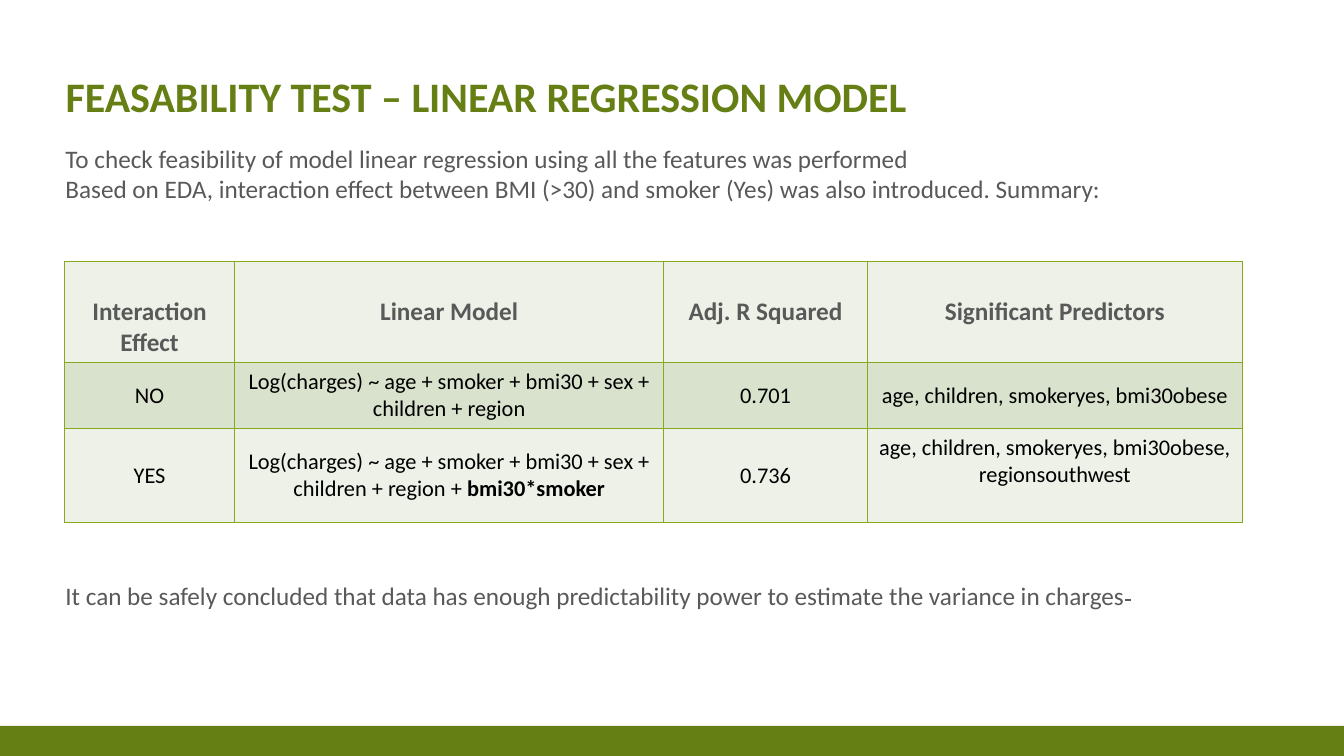
"""Build the linear regression feasibility slide."""
from dataclasses import dataclass

from lxml.etree import SubElement
from pptx import Presentation
from pptx.dml.color import RGBColor
from pptx.enum.shapes import MSO_SHAPE
from pptx.enum.text import MSO_ANCHOR, MSO_AUTO_SIZE, PP_ALIGN
from pptx.oxml.ns import qn
from pptx.util import Cm, Pt

GREEN = RGBColor(0x65, 0x7F, 0x14)
LIME = RGBColor(0x87, 0xA9, 0x1B)
GREY = RGBColor(0x59, 0x59, 0x59)
BLACK = RGBColor(0x00, 0x00, 0x00)
PALE = RGBColor(0xED, 0xF1, 0xE8)
SAGE = RGBColor(0xD9, 0xE2, 0xCD)

HEAD = {"size": Pt(18), "bold": True}
BODY = {"size": Pt(16), "bold": False}
NOTE = {"size": Pt(18), "bold": False}
WIDTHS = (4.28, 10.82, 5.13, 9.45)


@dataclass(frozen=True)
class Box:
    """Place of a shape in centimetres."""

    left: float
    top: float
    width: float
    height: float

    def spots(self) -> tuple:
        """Return the four lengths."""
        return Cm(self.left), Cm(self.top), Cm(self.width), Cm(self.height)


@dataclass(frozen=True)
class Row:
    """One table row with its look."""

    height: float
    fill: RGBColor
    color: RGBColor
    form: dict
    texts: tuple


@dataclass(frozen=True)
class Note:
    """A text box with its lines."""

    box: Box
    lines: tuple
    struck: bool = False


ROWS = (
    Row(2.55, PALE, GREY, HEAD,
        ("Interaction Effect", "Linear Model", "Adj. R Squared", "Significant Predictors")),
    Row(1.67, SAGE, BLACK, BODY,
        ("NO", "Log(charges) ~ age + smoker + bmi30 + sex + children + region",
         "0.701", "age, children, smokeryes, bmi30obese")),
    Row(2.36, PALE, BLACK, BODY,
        ("YES", "Log(charges) ~ age + smoker + bmi30 + sex + children + region + ",
         "0.736", "age, children, smokeryes, bmi30obese, regionsouthwest")),
)
NOTES = (
    Note(Box(1.4, 3.48, 30.53, 1.78),
         ("To check feasibility of model linear regression using all the features was performed",
          "Based on EDA, interaction effect between BMI (>30) and smoker (Yes) "
          "was also introduced. Summary:")),
    Note(Box(1.4, 14.5, 30.71, 1.02),
         ("It can be safely concluded that data has enough predictability power "
          "to estimate the variance in charges",), True),
)


def write(para, text: str, color: RGBColor, form: dict):
    """Add a formatted run to a paragraph."""
    run = para.add_run()
    run.text = text
    for name, value in {"name": "Calibri", **form}.items():
        setattr(run.font, name, value)
    run.font.color.rgb = color
    return run


def edge(cell) -> None:
    """Draw the four borders of a cell."""
    props = cell._tc.get_or_add_tcPr()
    for spot, side in enumerate(("lnL", "lnR", "lnT", "lnB")):
        line = props.makeelement(qn(f"a:{side}"), {"w": str(Pt(1))})
        props.insert(spot, line)
        fill = SubElement(line, qn("a:solidFill"))
        SubElement(fill, qn("a:srgbClr"), val=str(LIME))


def add_title(slide) -> None:
    """Place and format the title."""
    title = slide.shapes.title
    title.left, title.top, title.width, title.height = Box(1.4, 0, 25.4, 3.18).spots()
    frame = title.text_frame
    looks = {"vertical_anchor": MSO_ANCHOR.BOTTOM, "word_wrap": True,
             "auto_size": MSO_AUTO_SIZE.NONE}
    for name, value in looks.items():
        setattr(frame, name, value)
    para = frame.paragraphs[0]
    para.alignment = PP_ALIGN.LEFT
    para.line_spacing = 0.9
    write(para, "FEASABILITY TEST – LINEAR REGRESSION MODEL", GREEN,
          {"size": Pt(30), "bold": True})


def add_note(slide, note: Note) -> None:
    """Add a text box."""
    frame = slide.shapes.add_textbox(*note.box.spots()).text_frame
    frame.word_wrap = True
    for spot, text in enumerate(note.lines):
        para = frame.add_paragraph() if spot else frame.paragraphs[0]
        write(para, text, GREY, NOTE)
    if note.struck:
        run = write(para, " ", GREY, NOTE)
        run._r.get_or_add_rPr().set("strike", "sngStrike")


def add_grid(slide) -> None:
    """Add the table of models."""
    box = Box(1.63, 6.58, sum(WIDTHS), sum(row.height for row in ROWS))
    grid = slide.shapes.add_table(len(ROWS), len(WIDTHS), *box.spots()).table
    for col, width in zip(grid.columns, WIDTHS):
        col.width = Cm(width)
    for line, row in zip(grid.rows, ROWS):
        line.height = Cm(row.height)
        for cell, text in zip(line.cells, row.texts):
            cell.vertical_anchor = MSO_ANCHOR.MIDDLE
            cell.fill.solid()
            cell.fill.fore_color.rgb = row.fill
            edge(cell)
            para = cell.text_frame.paragraphs[0]
            para.alignment = PP_ALIGN.CENTER
            write(para, text, row.color, row.form)
    write(grid.cell(2, 1).text_frame.paragraphs[0], "bmi30*smoker", BLACK,
          {**BODY, "bold": True})
    grid.cell(0, 0).margin_top = Cm(0.9)
    grid.cell(2, 3).margin_bottom = Cm(0.85)


def add_bar(slide) -> None:
    """Add the green band at the foot."""
    bar = slide.shapes.add_shape(MSO_SHAPE.RECTANGLE, *Box(0, 18.29, 33.87, 0.76).spots())
    bar.shadow.inherit = False
    bar.fill.solid()
    bar.fill.fore_color.rgb = GREEN
    bar.line.fill.background()


def main() -> None:
    """Build and save the slide."""
    deck = Presentation()
    deck.slide_width, deck.slide_height = Cm(33.87), Cm(19.05)
    slide = deck.slides.add_slide(deck.slide_layouts[5])
    add_bar(slide)
    add_title(slide)
    for note in NOTES:
        add_note(slide, note)
    add_grid(slide)
    deck.save("out.pptx")


if __name__ == "__main__":
    main()
